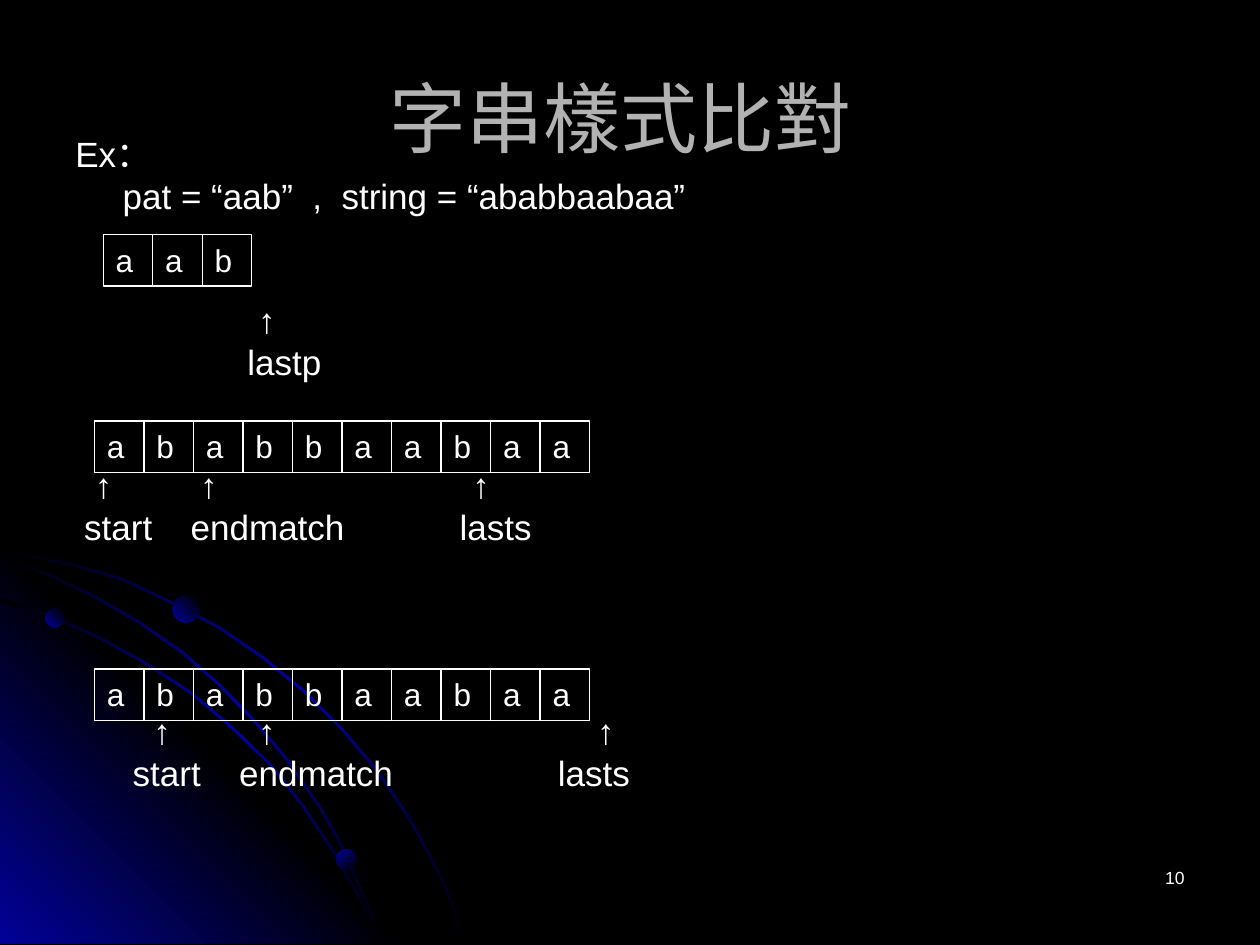
from lxml import etree
from pptx import Presentation
from pptx.dml.color import RGBColor
from pptx.enum.shapes import MSO_SHAPE
from pptx.enum.text import MSO_ANCHOR, PP_ALIGN
from pptx.oxml.ns import qn
from pptx.util import Inches, Pt

RECTANGLE, OVAL = MSO_SHAPE.RECTANGLE, MSO_SHAPE.OVAL
TOP, MIDDLE = MSO_ANCHOR.TOP, MSO_ANCHOR.MIDDLE
LEFT, CENTER, RIGHT = PP_ALIGN.LEFT, PP_ALIGN.CENTER, PP_ALIGN.RIGHT
BLACK = RGBColor(0x00, 0x00, 0x00)
WHITE = RGBColor(0xFF, 0xFF, 0xFF)
GRAY = RGBColor(0xB2, 0xB2, 0xB2)
BLUE = RGBColor(0x01, 0x01, 0x99)
FONT = "Arial"
SLIDE_WIDTH, SLIDE_HEIGHT = Inches(10), Inches(7.5)
UNIT = SLIDE_WIDTH / 100
CELL_WIDTH, CELL_HEIGHT = 3.93, 4.1
INSET = 1
RIBBON = 0.25
LINE_PITCH, LINE_GAP = 23.2, 4.8

ARCS = [
    [(0, 43.5), (2.8, 44.1), (5.7, 44.7), (9.8, 45.9), (13.6, 47.7), (17.4, 49.7),
     (20.9, 52.1), (24.2, 54.8), (27.2, 57.8), (30, 61.1), (32.5, 64.8),
     (33.9, 67.3), (35.2, 69.8), (36.2, 72.3), (37.2, 74.9)],
    [(0, 47.5), (4.1, 48.8), (7.9, 50.5), (11.7, 52.6), (15.2, 54.9), (18.4, 57.6),
     (21.5, 60.6), (24.2, 64), (26.6, 67.6), (28.6, 71.2), (29.6, 73), (30.3, 74.9)],
    [(0, 44.2), (3.9, 45.5), (7.6, 47.3), (11.1, 49.3), (14.4, 51.6), (17.5, 54.3),
     (20.4, 57.3), (22.9, 60.3), (25.4, 63.9), (26.9, 66.5), (28.2, 69.3),
     (29.4, 72), (30.3, 74.9)],
]
CORNER = [(0, 42.7), (32.2, 74.9), (0, 74.9)]
DOTS = [(3.6, 48.3, 1.5, 315), (26.7, 67.4, 1.6, 45), (13.7, 47.3, 2.1, 315)]
POINTERS = [
    (2, [("↑", 20.5)], [("lastp", 19.65)]),
    (2, [("↑", 7.55), ("↑", 15.9), ("↑", 37.5)],
     [("start", 6.7), ("endmatch", 15.15), ("lasts", 36.5)]),
    (4, [("↑", 12.2), ("↑", 20.5), ("↑", 47.4)],
     [("start", 10.55), ("endmatch", 19), ("lasts", 44.3)]),
]


def grid(*lengths):
    """Turn grid units into slide lengths."""
    return [round(length * UNIT) for length in lengths]


def format_paragraph(paragraph, size, color, alignment=LEFT):
    """Give a paragraph and its runs their look."""
    paragraph.alignment = alignment
    for run in paragraph.runs:
        run.font.name = FONT
        run.font.size = Pt(size)
        run.font.color.rgb = color


def paint_gradient(shape, colors, angle):
    """Fill a shape with evenly spaced colour stops and no outline."""
    shape.shadow.inherit = False
    shape.line.fill.background()
    shape.fill.gradient()
    gradient = shape.fill._xPr.find(qn("a:gradFill"))
    stops = gradient.find(qn("a:gsLst"))
    for stop in list(stops):
        stops.remove(stop)
    for index, color in enumerate(colors):
        position = str(100000 * index // (len(colors) - 1))
        stop = etree.SubElement(stops, qn("a:gs"), pos=position)
        etree.SubElement(stop, qn("a:srgbClr"), val=str(color))
    gradient.find(qn("a:lin")).set("ang", str(angle * 60000))


def add_outline(slide, points, colors, angle):
    """Draw a closed outline with a gradient."""
    corners = [grid(*point) for point in points]
    builder = slide.shapes.build_freeform(*corners[0], scale=1.0)
    builder.add_line_segments(corners[1:], close=True)
    paint_gradient(builder.convert_to_shape(), colors, angle)


def add_ribbon(slide, outer):
    """Draw a thin arc whose inner edge turns from below to the left."""
    last = len(outer) - 1
    inner = [(x - RIBBON * index / last, y + RIBBON * (1 - index / last))
             for index, (x, y) in enumerate(outer)]
    add_outline(slide, outer + inner[::-1], [BLACK, BLUE, BLACK], 45)


def add_orbits(slide):
    """Decorate the lower left corner with arcs, a glow and dots."""
    add_ribbon(slide, ARCS[0])
    add_outline(slide, CORNER, [BLUE, BLACK, BLUE], 315)
    for arc in ARCS[1:]:
        add_ribbon(slide, arc)
    for left, top, size, angle in DOTS:
        dot = slide.shapes.add_shape(OVAL, *grid(left, top, size, size))
        paint_gradient(dot, [BLUE, BLACK], angle)


def add_label(slide, box, text, size, color, alignment, anchor=TOP):
    """Place a single line of text in a box."""
    text_frame = slide.shapes.add_textbox(*grid(*box)).text_frame
    text_frame.word_wrap = True
    text_frame.vertical_anchor = anchor
    text_frame.text = text
    format_paragraph(text_frame.paragraphs[0], size, color, alignment)


def add_line(text_frame, text, skipped=0, indent=0, stops=()):
    """Append a line after some skipped lines, with its own tab stops."""
    paragraph = text_frame.paragraphs[0]
    if paragraph.runs:
        paragraph = text_frame.add_paragraph()
    paragraph.text = text
    paragraph.line_spacing = 0.8
    paragraph.space_before = Pt(LINE_GAP + skipped * LINE_PITCH)
    format_paragraph(paragraph, 20, WHITE)
    properties = paragraph._p.get_or_add_pPr()
    properties.set("marL", str(grid(indent)[0]))
    if stops:
        tabs = etree.SubElement(properties, qn("a:tabLst"))
        for stop in stops:
            etree.SubElement(tabs, qn("a:tab"), pos=str(grid(stop)[0]), algn="l")


def add_example(slide, box):
    """Write the example and the pointers below each array."""
    text_frame = slide.shapes.add_textbox(*grid(*box)).text_frame
    text_frame.word_wrap = True
    add_line(text_frame, "Ex：")
    add_line(text_frame, "pat = “aab”  ,  string = “ababbaabaa”", indent=3.75)
    origin = box[0] + INSET
    for skipped, arrows, names in POINTERS:
        for marks, gap in ((arrows, skipped), (names, 0)):
            text = "".join("\t" + mark for mark, position in marks)
            stops = [position - origin for mark, position in marks]
            add_line(text_frame, text, gap, stops=stops)


def add_array(slide, left, top, letters):
    """Draw a row of cells with one letter each."""
    for index, letter in enumerate(letters):
        box = grid(left + index * CELL_WIDTH, top, CELL_WIDTH, CELL_HEIGHT)
        cell = slide.shapes.add_shape(RECTANGLE, *box)
        cell.shadow.inherit = False
        cell.fill.background()
        cell.line.color.rgb = WHITE
        cell.line.width = Pt(0.75)
        cell.text_frame.text = letter
        cell.text_frame.vertical_anchor = TOP
        format_paragraph(cell.text_frame.paragraphs[0], 18, WHITE)


def main():
    """Build the string matching slide."""
    presentation = Presentation()
    presentation.slide_width, presentation.slide_height = SLIDE_WIDTH, SLIDE_HEIGHT
    slide = presentation.slides.add_slide(presentation.slide_layouts[6])
    slide.background.fill.solid()
    slide.background.fill.fore_color.rgb = BLACK
    add_orbits(slide)
    add_label(slide, (71.7, 68.3, 23.3, 5), "10", 10, WHITE, RIGHT)
    add_label(slide, (5, 3, 88.6, 12.5), "字串樣式比對", 44, GRAY, CENTER, MIDDLE)
    add_example(slide, (5, 10.7, 90, 55.1))
    add_array(slide, 8.2, 18.6, "aab")
    for top in (33.4, 53.1):
        add_array(slide, 7.5, top, "ababbaabaa")
    presentation.save("out.pptx")


if __name__ == "__main__":
    main()
